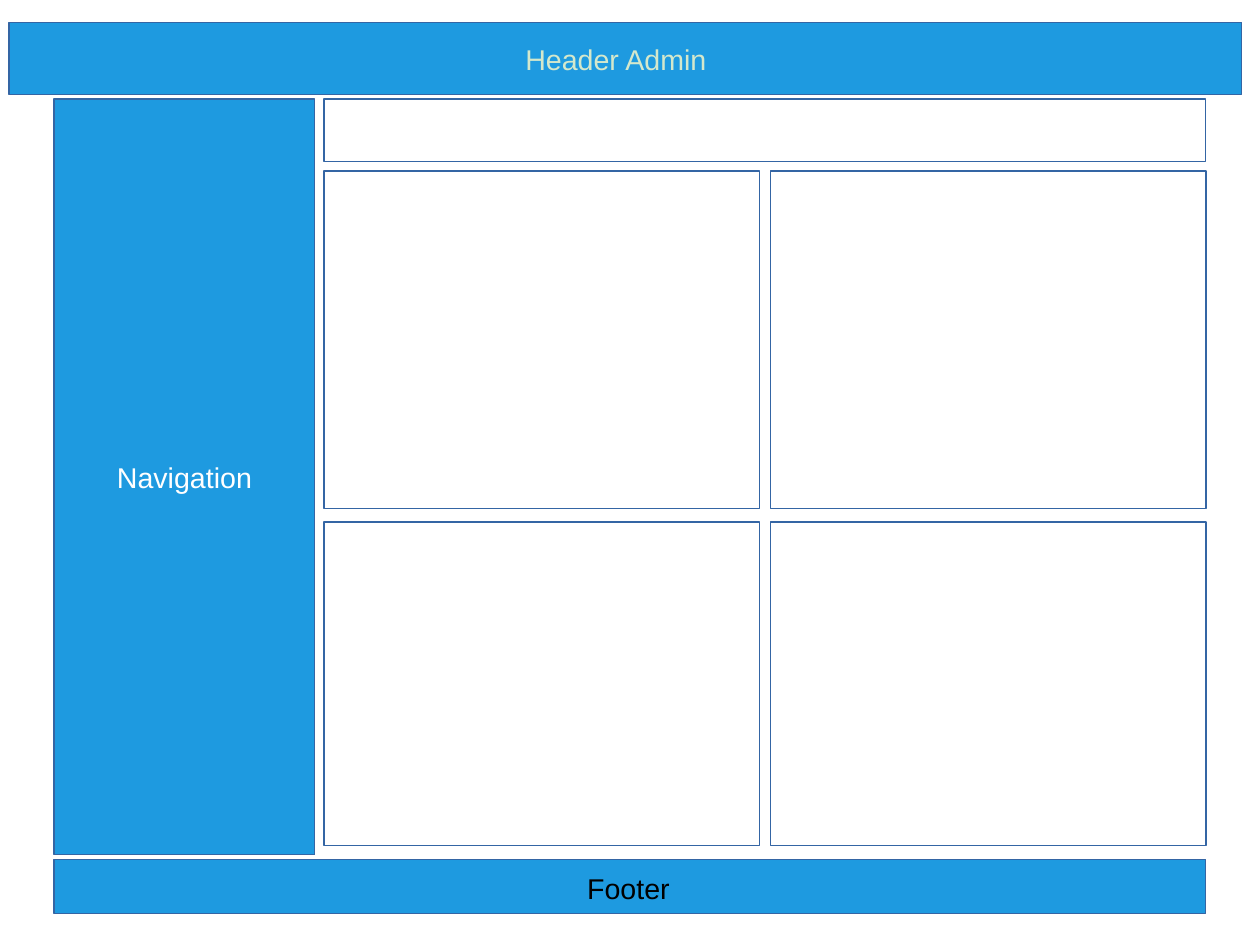
from pptx import Presentation
from pptx import util as u
from pptx.dml.color import RGBColor
from pptx.enum import shapes, text

PX = 9000
COLORS = {
    "bar": "1E9AE0",
    "panel": "FFFFFF",
    "line": "3465A4",
    "header": "D4E8CC",
    "navigation": "FFFFFF",
    "footer": "000000",
}


def px(*lengths):
    """Turn pixel lengths into EMU."""
    return [u.Emu(n * PX) for n in lengths]


def add_box(slide, box, fill):
    """Draw a flat outlined rectangle."""
    sp = slide.shapes.add_shape(shapes.MSO_SHAPE.RECTANGLE, *px(*box))
    sp.shadow.inherit = False
    sp.fill.solid()
    sp.fill.fore_color.rgb = RGBColor.from_string(COLORS[fill])
    sp.line.color.rgb = RGBColor.from_string(COLORS["line"])
    sp.line.width = u.Pt(0)
    return sp


def set_label(sp, label, color, align):
    """Write one unwrapped line of text in a shape."""
    tf = sp.text_frame
    tf.text = label
    tf.word_wrap = False
    p = tf.paragraphs[0]
    p.alignment = align
    font = p.runs[0].font
    font.name = "Arial"
    font.size = u.Pt(18)
    font.color.rgb = RGBColor.from_string(COLORS[color])


def add_bar(slide, box, label, color, label_box):
    """Draw a bar with a label placed relative to its corner."""
    add_box(slide, box, "bar")
    left, top, width, height = label_box
    sp = slide.shapes.add_textbox(*px(box[0] + left, box[1] + top, width, height))
    set_label(sp, label, color, text.PP_ALIGN.LEFT)
    sp.text_frame.auto_size = text.MSO_AUTO_SIZE.SHAPE_TO_FIT_TEXT


def add_navigation(slide, box):
    """Draw the navigation column with its centred label."""
    sp = add_box(slide, box, "bar")
    set_label(sp, "Navigation", "navigation", text.PP_ALIGN.CENTER)
    sp.text_frame.vertical_anchor = text.MSO_ANCHOR.MIDDLE


def add_content(slide, box):
    """Draw the top strip and the two rows of two panels."""
    left, top, width, height = box
    gap = 10
    panel_w = (width - gap) // 2
    add_box(slide, (left, top, width, 56), "panel")
    for row_top, row_h in ((64, 300), (376, height - 376)):
        for col in range(2):
            panel_left = left + col * (panel_w + gap)
            add_box(slide, (panel_left, top + row_top, panel_w, row_h), "panel")


def main():
    """Build the admin page wireframe."""
    prs = Presentation()
    prs.slide_width, prs.slide_height = px(1120, 840)
    slide = prs.slides.add_slide(prs.slide_layouts[6])
    add_bar(slide, (8, 20, 1096, 64), "Header Admin", "header", (449, 12, 184, 39))
    add_bar(slide, (48, 764, 1024, 48), "Footer", "footer", (464, 5, 96, 39))
    add_navigation(slide, (48, 88, 232, 672))
    add_content(slide, (288, 88, 784, 664))
    prs.save("out.pptx")


if __name__ == "__main__":
    main()
